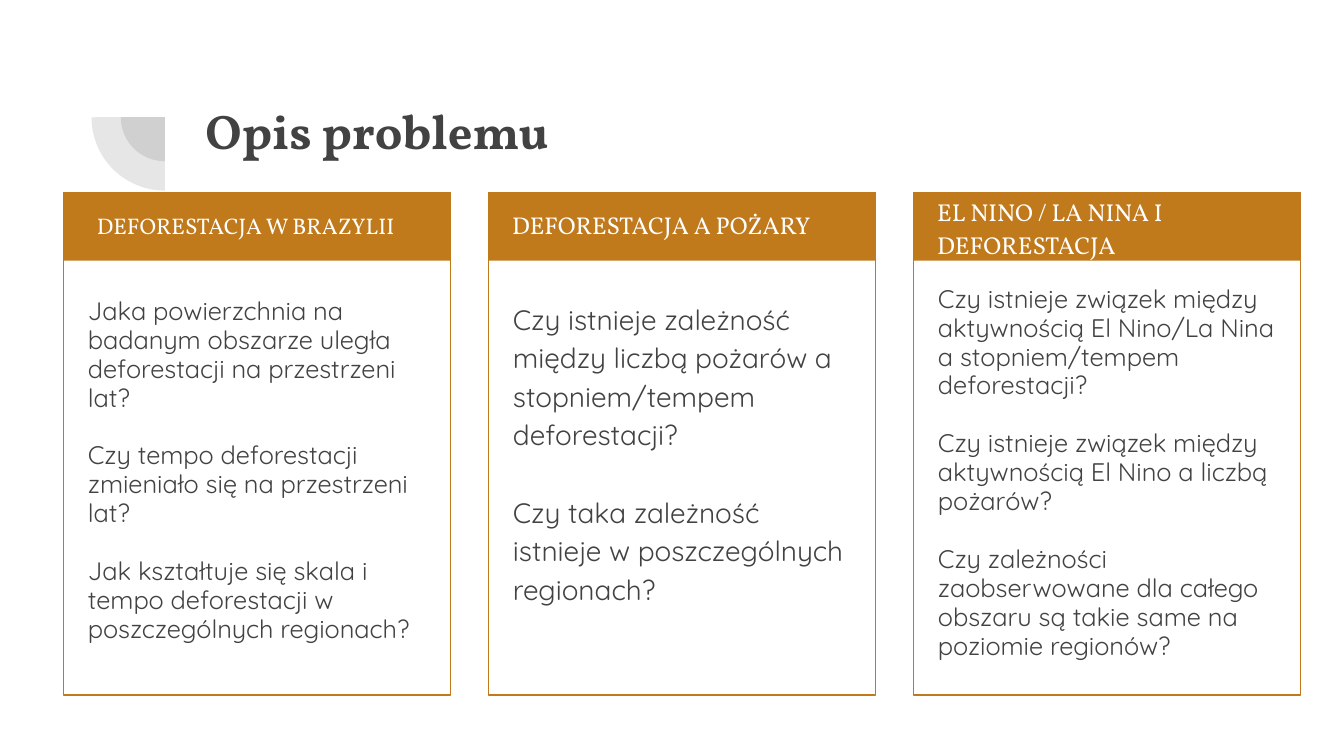
from dataclasses import dataclass

from lxml.etree import SubElement
from pptx import Presentation
from pptx.dml.color import RGBColor
from pptx.enum.shapes import MSO_SHAPE
from pptx.enum.text import MSO_ANCHOR, PP_ALIGN
from pptx.oxml.ns import qn
from pptx.util import Pt


@dataclass(frozen=True)
class Theme:
    ink: RGBColor = RGBColor(0x42, 0x42, 0x42)
    gold: RGBColor = RGBColor(0xC0, 0x79, 0x1B)
    white: RGBColor = RGBColor(0xFF, 0xFF, 0xFF)
    serif: str = "Vollkorn"
    sans: str = "Quicksand"
    title: float = 26
    line: float = 0.75
    inset: float = 7.2


@dataclass(frozen=True)
class Card:
    head: str
    head_size: float
    head_x: float
    head_y: float
    body: tuple
    size: float
    space: float
    body_y: float


THEME = Theme()

CARDS = [
    Card(
        "DEFORESTACJA W BRAZYLII", 12.1, 10.8, 1.4,
        (
            "Jaka powierzchnia na badanym obszarze uległa deforestacji na przestrzeni lat?",
            "Czy tempo deforestacji zmieniało się na przestrzeni lat?",
            "Jak kształtuje się skala i tempo deforestacji w poszczególnych regionach?",
        ),
        13.6, 0.95, 49,
    ),
    Card(
        "DEFORESTACJA A POŻARY", 13, 5.6, 0,
        (
            "Czy istnieje zależność między liczbą pożarów a stopniem/tempem deforestacji?",
            "Czy taka zależność istnieje w poszczególnych regionach?",
        ),
        15, 1.15, 49,
    ),
    Card(
        "EL NINO / LA NINA I DEFORESTACJA", 13.1, 5.6, -7.2,
        (
            "Czy istnieje związek między aktywnością El Nino/La Nina a stopniem/tempem deforestacji?",
            "Czy istnieje związek między aktywnością El Nino a liczbą pożarów?",
            "Czy zależności zaobserwowane dla całego obszaru są takie same na poziomie regionów?",
        ),
        13.6, 0.95, 42.5,
    ),
]


def add_text(slide, box, lines, font, size, color, space=1.0, gap=0, bold=False):
    frame = slide.shapes.add_textbox(*map(Pt, box)).text_frame
    frame.word_wrap = True
    frame.vertical_anchor = MSO_ANCHOR.TOP
    frame.margin_left = frame.margin_right = Pt(THEME.inset)
    frame.margin_top = frame.margin_bottom = Pt(THEME.inset)
    frame.text = "\n".join(lines)
    for index, para in enumerate(frame.paragraphs):
        para.alignment = PP_ALIGN.LEFT
        para.line_spacing = space
        para.space_before = Pt(gap if index else 0)
        for run in para.runs:
            run.font.name = font
            run.font.size = Pt(size)
            run.font.bold = bold
            run.font.color.rgb = color


def add_shape(slide, kind, box, fill=None, line=None):
    shape = slide.shapes.add_shape(kind, *map(Pt, box))
    shape.shadow.inherit = False
    if fill is None:
        shape.fill.background()
    else:
        shape.fill.solid()
        shape.fill.fore_color.rgb = fill
    if line is None:
        shape.line.fill.background()
    else:
        shape.line.color.rgb = line
        shape.line.width = Pt(THEME.line)
    return shape


def draw_mark(slide, left, top, width):
    right = left + width
    for radius in (width * 0.6, width):
        box = (right - radius, top - radius, 2 * radius, 2 * radius)
        pie = add_shape(slide, MSO_SHAPE.PIE, box, THEME.ink)
        pie.adjustments[0] = 54
        pie.adjustments[1] = 108
        color = pie.fill._xPr.find(f"{qn('a:solidFill')}/{qn('a:srgbClr')}")
        SubElement(color, qn("a:alpha"), val="13000")


def draw_title(slide, left, top, width, height):
    draw_mark(slide, left, top + 16, 39.3)
    box = (left + 54, top, width - 54, height)
    add_text(slide, box, ["Opis problemu"], THEME.serif, THEME.title, THEME.ink, bold=True)


def draw_card(slide, card, left, top, width, height):
    add_shape(slide, MSO_SHAPE.RECTANGLE, (left, top, width, 36.7), THEME.gold)
    add_shape(slide, MSO_SHAPE.RECTANGLE, (left, top, width, height), line=THEME.gold)
    head = (left + card.head_x, top + card.head_y, width - 10.8, 36)
    add_text(slide, head, [card.head], THEME.serif, card.head_size, THEME.white, 1.15)
    body = (left + 6, top + card.body_y, width - 12.3, 220.3)
    gap = round(card.size * card.space * 1.2, 1)
    add_text(slide, body, card.body, THEME.sans, card.size, THEME.ink, card.space, gap)


def main():
    deck = Presentation()
    deck.slide_width, deck.slide_height = Pt(720), Pt(405)
    slide = deck.slides.add_slide(deck.slide_layouts[6])
    draw_title(slide, 49, 46.8, 607.6, 78.5)
    for index, card in enumerate(CARDS):
        draw_card(slide, card, 34 + index * 227.7, 103, 207.4, 269.3)
    deck.save("out.pptx")


if __name__ == "__main__":
    main()
